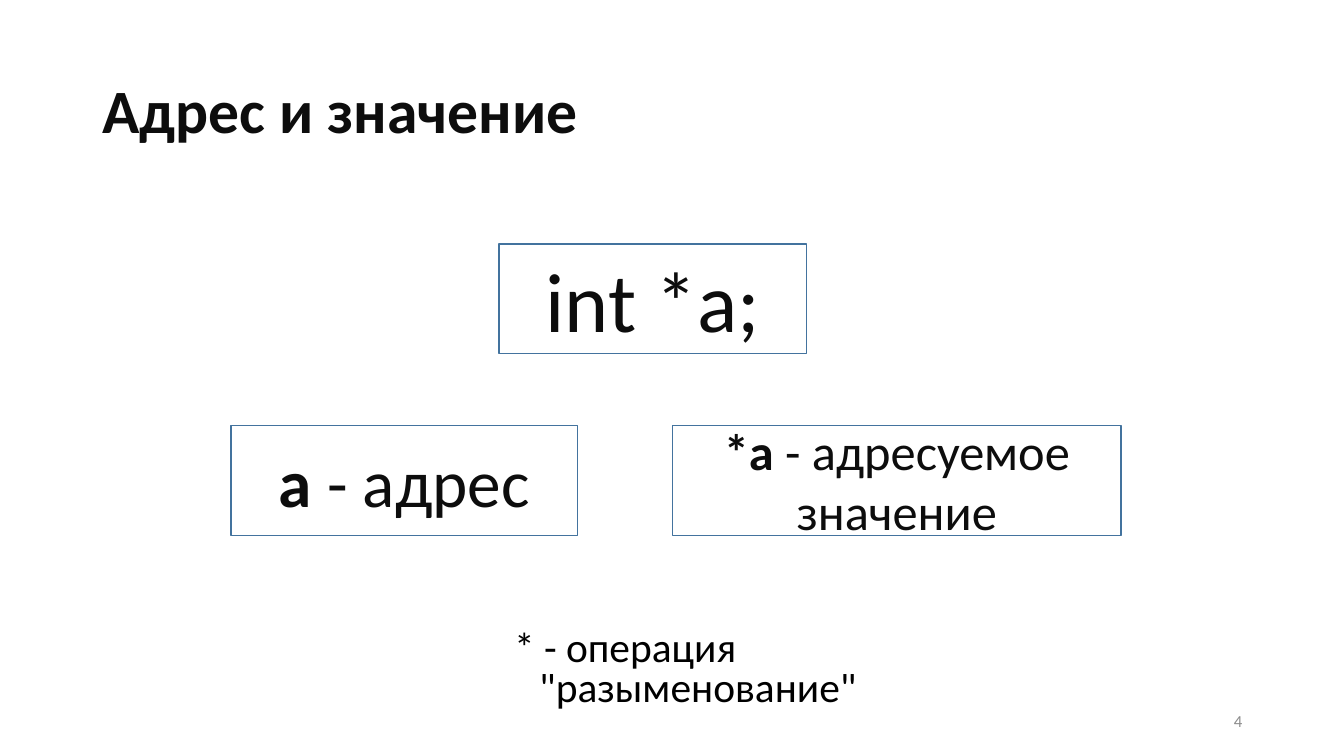
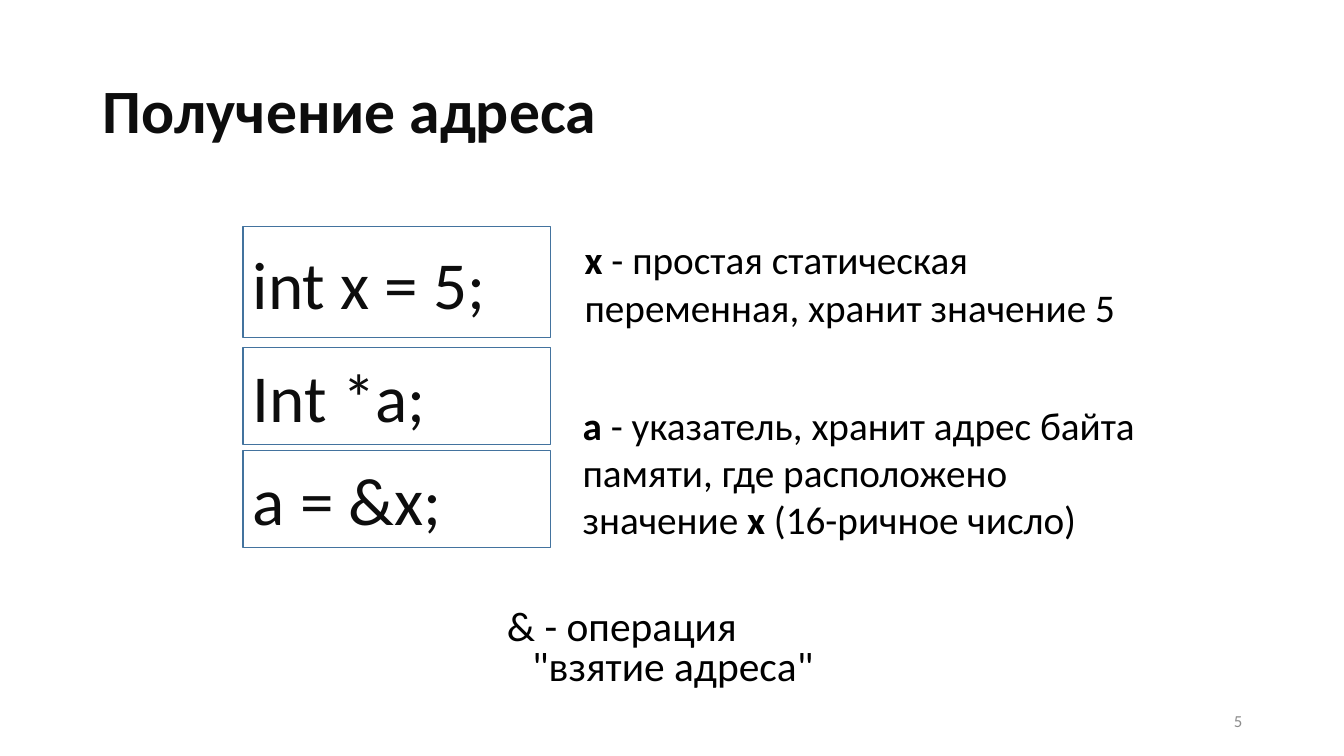
from pptx import Presentation
from pptx.dml.color import RGBColor
from pptx.enum.shapes import MSO_SHAPE
from pptx.enum.text import MSO_ANCHOR, PP_ALIGN
from pptx.util import Inches, Pt

RECT = MSO_SHAPE.RECTANGLE
TOP, MIDDLE = MSO_ANCHOR.TOP, MSO_ANCHOR.MIDDLE
LEFT, CENTER, RIGHT = PP_ALIGN.LEFT, PP_ALIGN.CENTER, PP_ALIGN.RIGHT

FONT = "Calibri"
INK, BLACK, GREY, WHITE, BLUE = "0D0D0D", "000000", "8C8C8C", "FFFFFF", "43739E"
FIRST_NUMBER = 4
TITLE_AT = (0.92, 0.4, 11.5, 1.45)
NUMBER_AT = (9.42, 6.95, 3, 0.4)
OPERATION_SIZE = (3.87, 0.94)
HANGING = 0.25

STYLES = {
    "title": {"size": 44, "color": INK, "anchor": MIDDLE, "para": {"line_spacing": 0.9}},
    "number": {"size": 12, "color": GREY, "anchor": MIDDLE, "para": {"alignment": RIGHT}},
    "note": {"size": 28, "color": BLACK, "anchor": TOP, "para": {}},
    "operation": {"size": 29.6, "color": BLACK, "anchor": TOP,
                  "para": {"line_spacing": 0.8, "space_before": Pt(10)}},
}

SLIDES = [
    {
        "title": "Адрес и значение",
        "align": CENTER,
        "boxes": [
            ((4.95, 2.42, 3.05, 1.09), 60, [("int *a;", False)]),
            ((2.29, 4.22, 3.44, 1.09), 48, [("a", True), (" - адрес", False)]),
            ((6.67, 4.22, 4.45, 1.09), 36, [("*a", True), (" - адресуемое значение", False)]),
        ],
        "notes": [],
        "operation": ((5, 6.21), "* - операция \"разыменование\""),
    },
    {
        "title": "Получение адреса",
        "align": LEFT,
        "boxes": [
            ((2.41, 2.25, 3.05, 1.1), 48, [("int x = 5;", False)]),
            ((2.41, 3.45, 3.05, 0.96), 48, [("Int *a;", False)]),
            ((2.41, 4.47, 3.05, 0.96), 48, [("a = &x;", False)]),
        ],
        "notes": [
            ((5.7, 2.29, 5.61, 1.04),
             [("x", True), (" - простая статическая переменная, хранит значение 5", False)]),
            ((5.68, 3.93, 5.98, 1.51),
             [("а", True), (" - указатель, хранит адрес байта памяти, где расположено значение ", False),
              ("х ", True), ("(16-ричное число)", False)]),
        ],
        "operation": ((4.93, 6), "& - операция \"взятие адреса\""),
    },
]


def rgb(value):
    return RGBColor.from_string(value)


def write(sp, runs, size, color, anchor, para):
    tf = sp.text_frame
    tf.word_wrap = True
    tf.vertical_anchor = anchor
    p = tf.paragraphs[0]
    for name, value in para.items():
        setattr(p, name, value)
    for text, bold in runs:
        r = p.add_run()
        r.text = text
        for name, value in {"name": FONT, "size": Pt(size), "bold": bold}.items():
            setattr(r.font, name, value)
        r.font.color.rgb = rgb(color)
    return p


def add_text(s, at, style, runs):
    sp = s.shapes.add_textbox(*map(Inches, at))
    return write(sp, runs, **STYLES[style])


def add_box(s, at, size, runs, align):
    sp = s.shapes.add_shape(RECT, *map(Inches, at))
    sp.shadow.inherit = False
    sp.fill.solid()
    sp.fill.fore_color.rgb = rgb(WHITE)
    sp.line.color.rgb = rgb(BLUE)
    sp.line.width = Pt(1)
    write(sp, runs, size, INK, MIDDLE, {"alignment": align})


def add_operation(s, corner, text):
    p = add_text(s, corner + OPERATION_SIZE, "operation", [(text, False)])
    pPr = p._p.get_or_add_pPr()
    pPr.set("marL", str(Inches(HANGING)))
    pPr.set("indent", str(-Inches(HANGING)))


def main():
    prs = Presentation()
    prs.slide_width, prs.slide_height = Inches(13.33), Inches(7.5)
    for number, content in enumerate(SLIDES, FIRST_NUMBER):
        s = prs.slides.add_slide(prs.slide_layouts[6])
        add_text(s, TITLE_AT, "title", [(content["title"], True)])
        add_text(s, NUMBER_AT, "number", [(str(number), False)])
        for at, size, runs in content["boxes"]:
            add_box(s, at, size, runs, content["align"])
        for at, runs in content["notes"]:
            add_text(s, at, "note", runs)
        add_operation(s, *content["operation"])
    prs.save("out.pptx")


if __name__ == "__main__":
    main()
